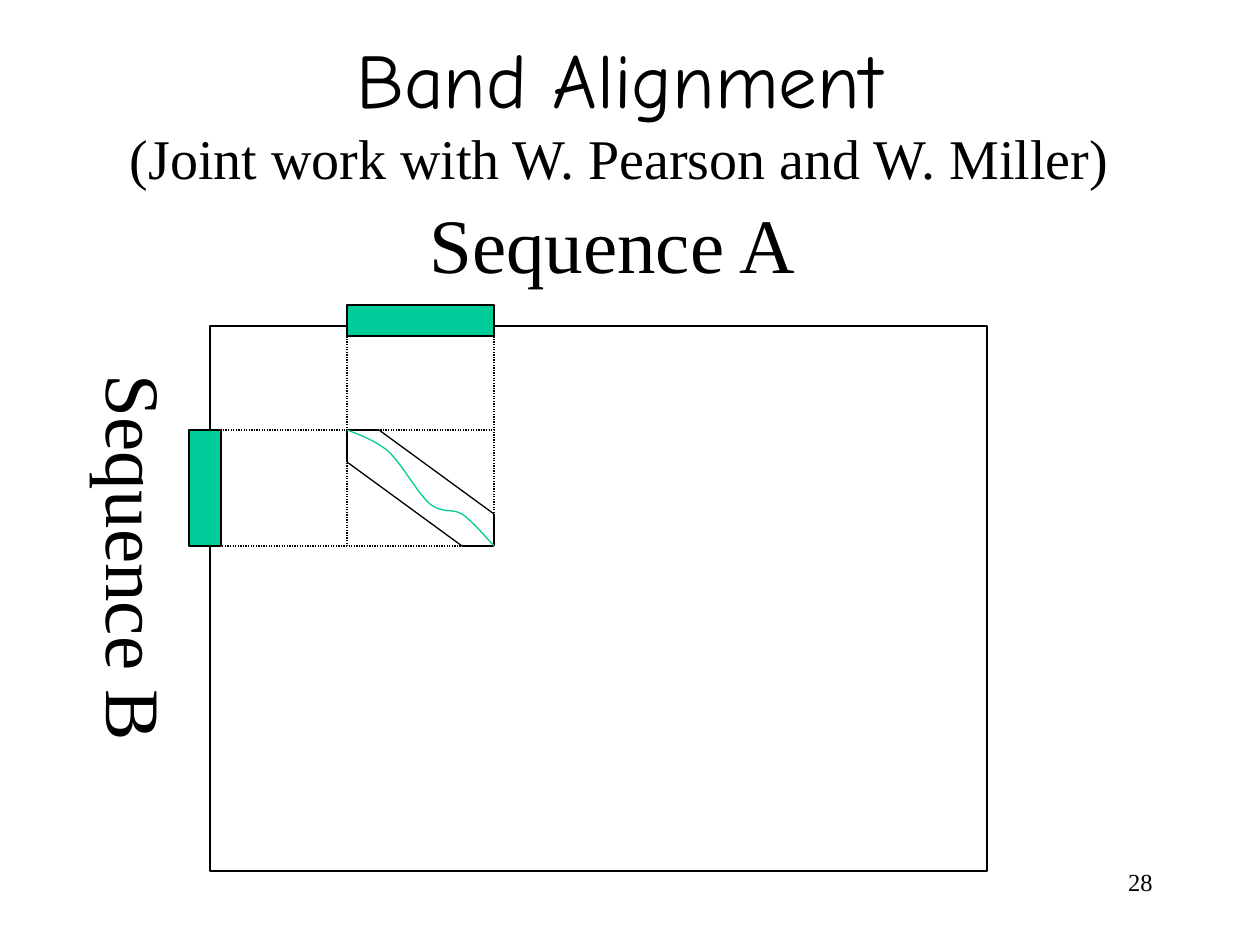
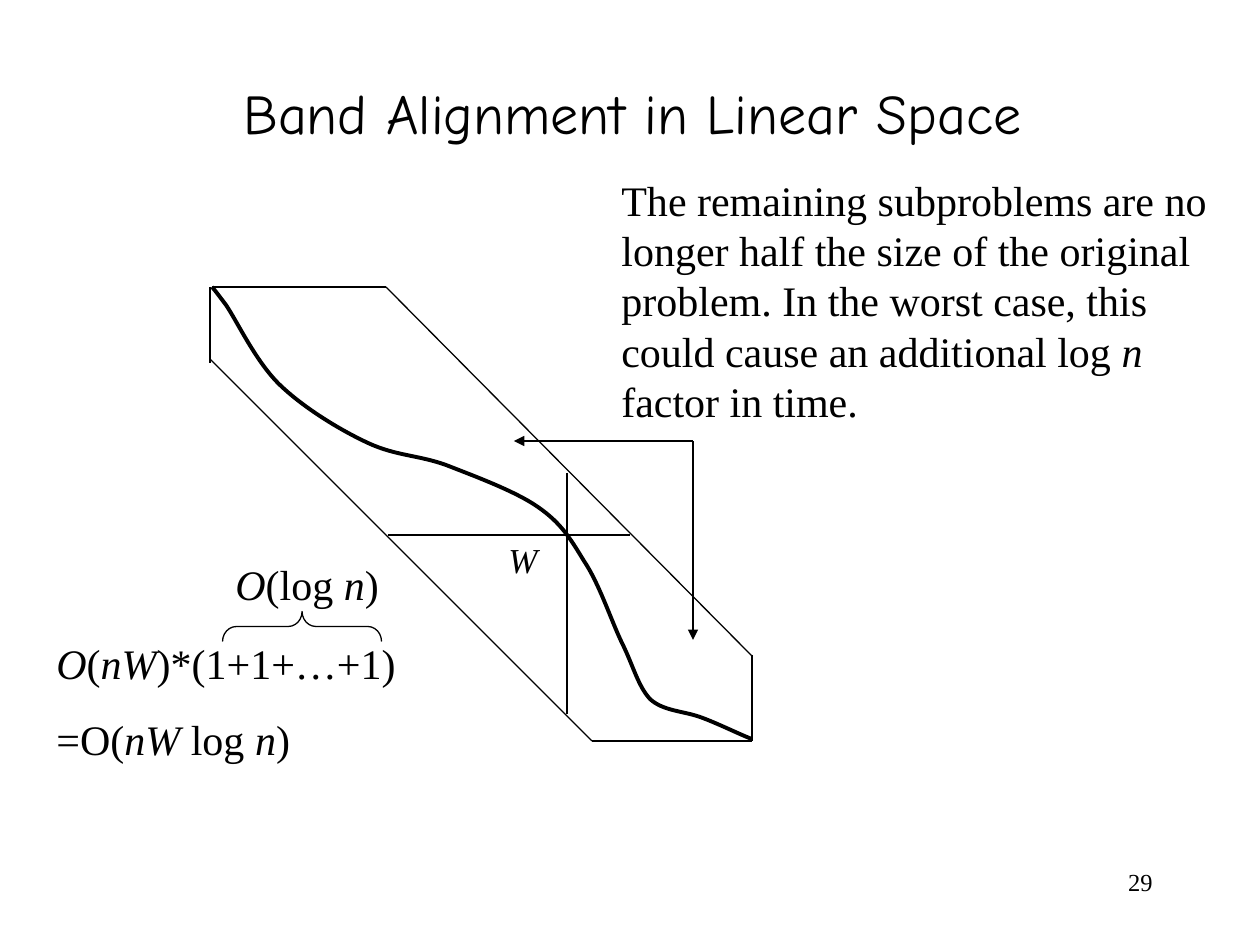
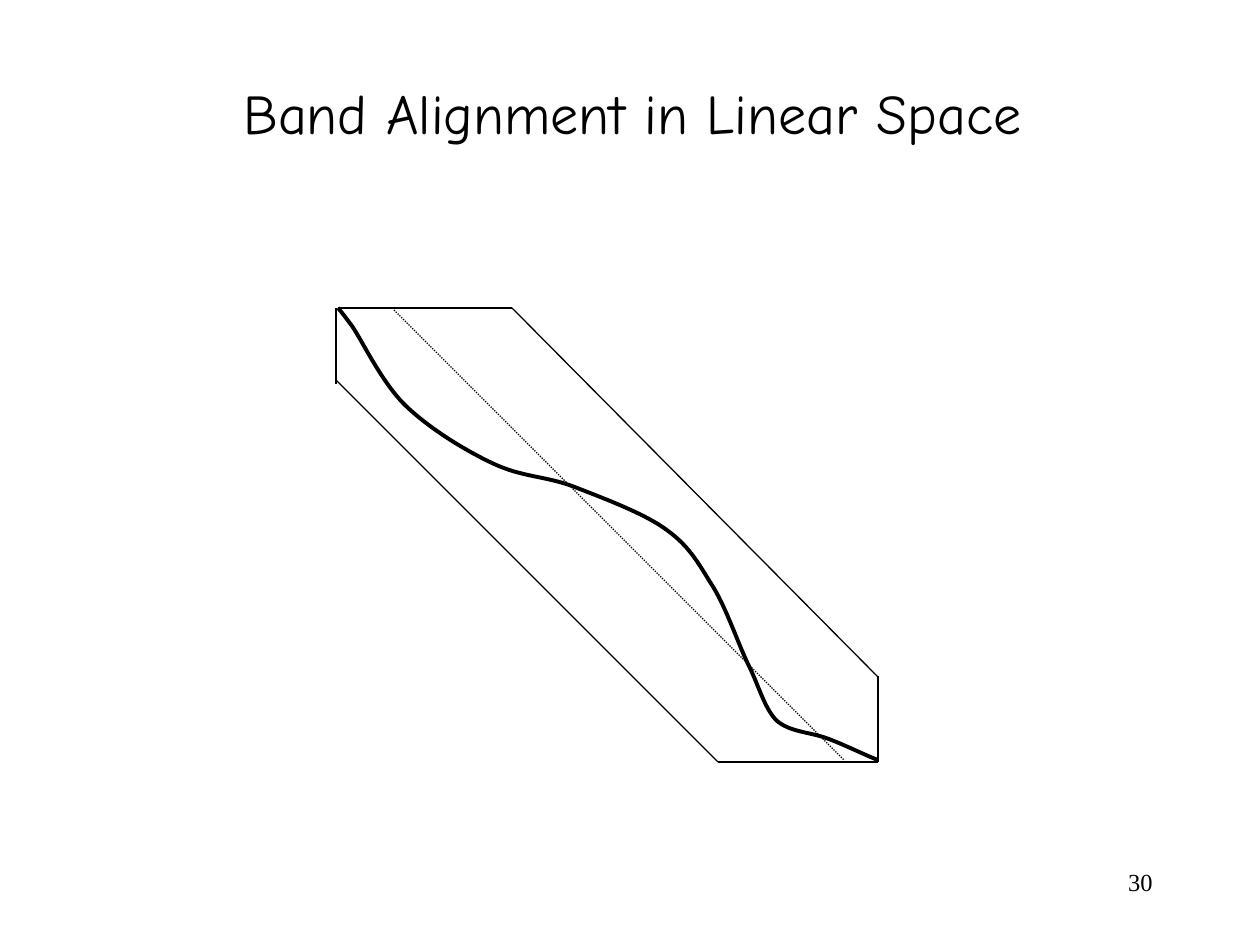
"""Build three slides on band alignment of two sequences."""
from lxml.etree import SubElement
from pptx import Presentation
from pptx.dml.color import RGBColor
from pptx.enum.dml import MSO_LINE as Dash
from pptx.enum.shapes import MSO_CONNECTOR as Link, MSO_SHAPE as Preset
from pptx.enum.text import MSO_ANCHOR as Anchor, PP_ALIGN as Align
from pptx.oxml.ns import qn
from pptx.util import Emu, Pt

SCALE = 914400 / 126
COLORS = {"ink": "000000", "accent": "00CC99"}
HEAD_FONT, BODY_FONT = "Comic Neue", "Times New Roman"
THIN, THICK = 0.75, 2.25

BAND_EDGES = [
    (210, 287, 210, 363), (212, 287, 386, 287), (210, 359, 592, 741),
    (386, 287, 752, 656), (592, 741, 752, 741), (752, 655, 752, 741),
]
BAND_PATH = [
    (212, 287), (213, 288), (214, 289), (226, 305), (237, 321), (256, 362), (280, 385),
    (304, 408), (340, 430), (368, 443), (396, 456), (418, 455), (446, 465),
    (474, 476), (515, 491), (538, 507), (561, 523), (570, 538), (584, 561),
    (599, 583), (611, 620), (622, 643), (633, 665), (638, 686), (650, 699),
    (663, 711), (683, 711), (700, 717), (717, 723), (743, 736), (752, 739),
]
SMALL_PATH = [
    (347, 430), (360, 435), (374, 440), (388, 451), (402, 464), (418, 494), (430, 504),
    (443, 514), (451, 508), (462, 514), (473, 522), (483, 534), (494, 546),
]


def px(*values):
    return [Emu(round(value * SCALE)) for value in values]


def rgb(name):
    return RGBColor.from_string(COLORS[name])


def italic(text):
    return text, {"italic": True}


def write(page, frame, *paras, size=24, face=BODY_FONT, align=Align.LEFT,
          anchor=Anchor.TOP, wrap=True, gap=0, vertical=False):
    """Add a text box; each paragraph is a list of strings or (string, format) spans."""
    box = page.shapes.add_textbox(*px(*frame))
    body = box.text_frame
    body.word_wrap = wrap
    body.vertical_anchor = anchor
    if vertical:
        body._txBody.bodyPr.set("vert", "eaVert")
        body.margin_left, body.margin_top, body.margin_right, body.margin_bottom = px(6, 13, 6, 13)
    for index, spans in enumerate(paras):
        para = body.add_paragraph() if index else body.paragraphs[0]
        para.alignment = align
        if index:
            para.space_before = Pt(gap)
        for span in spans:
            if span == "\n":
                para.add_line_break()
                continue
            text, style = (span, {}) if isinstance(span, str) else span
            run = para.add_run()
            run.text = text
            run.font.size = Pt(style.get("size", size))
            run.font.name = style.get("face", face)
            run.font.italic = style.get("italic", False)
            run.font.color.rgb = rgb("ink")


def outline(item, width=THIN, color="ink"):
    item.line.color.rgb = rgb(color)
    item.line.width = Pt(width)


def line(page, x1, y1, x2, y2, dotted=False, arrow=False):
    link = page.shapes.add_connector(Link.STRAIGHT, *px(x1, y1, x2, y2))
    outline(link)
    if dotted:
        link.line.dash_style = Dash.ROUND_DOT
    if arrow:
        SubElement(link.line._get_or_add_ln(), qn("a:tailEnd"), type="triangle")
    SubElement(link._element.spPr, qn("a:effectLst"))


def shape(page, preset, frame, fill=None):
    item = page.shapes.add_shape(preset, *px(*frame))
    item.shadow.inherit = False
    if fill:
        item.fill.solid()
        item.fill.fore_color.rgb = rgb(fill)
    else:
        item.fill.background()
    outline(item)
    return item


def curve(page, points, width=THIN, color="ink"):
    """Draw a chain of cubic curves: a start, then three points for each curve."""
    builder = page.shapes.build_freeform(*points[0], scale=SCALE)
    builder.add_line_segments(points[1:], close=False)
    item = builder.convert_to_shape()
    item.shadow.inherit = False
    item.fill.background()
    outline(item, width, color)
    track = item._element.find(".//" + qn("a:path"))
    steps = track.findall(qn("a:lnTo"))
    for start in range(0, len(steps), 3):
        bezier = SubElement(track, qn("a:cubicBezTo"))
        for step in steps[start:start + 3]:
            bezier.append(step[0])
            track.remove(step)


def band(page, dx=0, dy=0):
    for x1, y1, x2, y2 in BAND_EDGES:
        line(page, x1 + dx, y1 + dy, x2 + dx, y2 + dy)
    curve(page, [(x + dx, y + dy) for x, y in BAND_PATH], THICK)


def heading(page):
    write(page, (231, 72, 883, 81), ["Band Alignment in Linear Space"], size=32, face=HEAD_FONT)


def new_page(deck, number):
    page = deck.slides.add_slide(deck.slide_layouts[6])
    write(page, (903, 861, 262, 63), [str(number)], size=14, align=Align.RIGHT)
    return page


def overview(deck):
    page = new_page(deck, 28)
    subtitle = "(Joint work with W. Pearson and W. Miller)", {"size": 32, "face": BODY_FONT}
    write(page, (84, 32, 1071, 158), ["Band Alignment", "\n", subtitle],
          size=44, face=HEAD_FONT, align=Align.CENTER, anchor=Anchor.MIDDLE)
    shape(page, Preset.RECTANGLE, (210, 326, 777, 545))
    write(page, (72, 362, 117, 402), ["Sequence B"], size=44, vertical=True)
    write(page, (417, 190, 396, 106), ["Sequence A"], size=44, wrap=False)
    left, top, right, bottom = 347, 430, 494, 546
    shape(page, Preset.RECTANGLE, (left, 305, right - left, 31), "accent")
    shape(page, Preset.RECTANGLE, (189, top, 32, bottom - top), "accent")
    for x in (left, right):
        line(page, x, 326, x, bottom, dotted=True)
    for x, y in ((210, top), (199, bottom)):
        line(page, x, y, right, y, dotted=True)
    reach = 32
    corners = [(left, top), (left + reach, top), (right, bottom - reach),
               (right, bottom), (right - reach, bottom), (left, top + reach)]
    for start, end in zip(corners, corners[1:] + corners[:1]):
        line(page, *start, *end)
    curve(page, SMALL_PATH, color="accent")


def time_cost(deck):
    page = new_page(deck, 29)
    heading(page)
    band(page)
    line(page, 388, 535, 630, 535)
    line(page, 567, 473, 567, 714)
    line(page, 693, 441, 514, 441, arrow=True)
    line(page, 693, 441, 693, 640, arrow=True)
    write(page, (609, 168, 620, 265),
          ["The remaining subproblems are no longer half the size of the original problem. "
           "In the worst case, this could cause an additional log ", italic("n"),
           " factor in time."])
    write(page, (44, 631, 377, 140),
          [italic("O"), "(", italic("nW"), ")*(1+1+…+1)"],
          ["=O(", italic("nW"), " log ", italic("n"), ")"], gap=15)
    brace = shape(page, Preset.LEFT_BRACE, (287, 547, 30, 159))
    brace.adjustments[0] = 0.46
    brace.rotation = 90
    write(page, (223, 552, 179, 63), [italic("O"), "(log ", italic("n"), ")"])
    write(page, (496, 532, 54, 55), [italic("W")], size=20, wrap=False)


def diagonal_split(deck):
    page = new_page(deck, 30)
    heading(page)
    line(page, 394, 310, 844, 760, dotted=True)
    band(page, 126, 21)


def main():
    deck = Presentation()
    deck.slide_width, deck.slide_height = px(1260, 945)
    overview(deck)
    time_cost(deck)
    diagonal_split(deck)
    deck.save("out.pptx")


if __name__ == "__main__":
    main()
